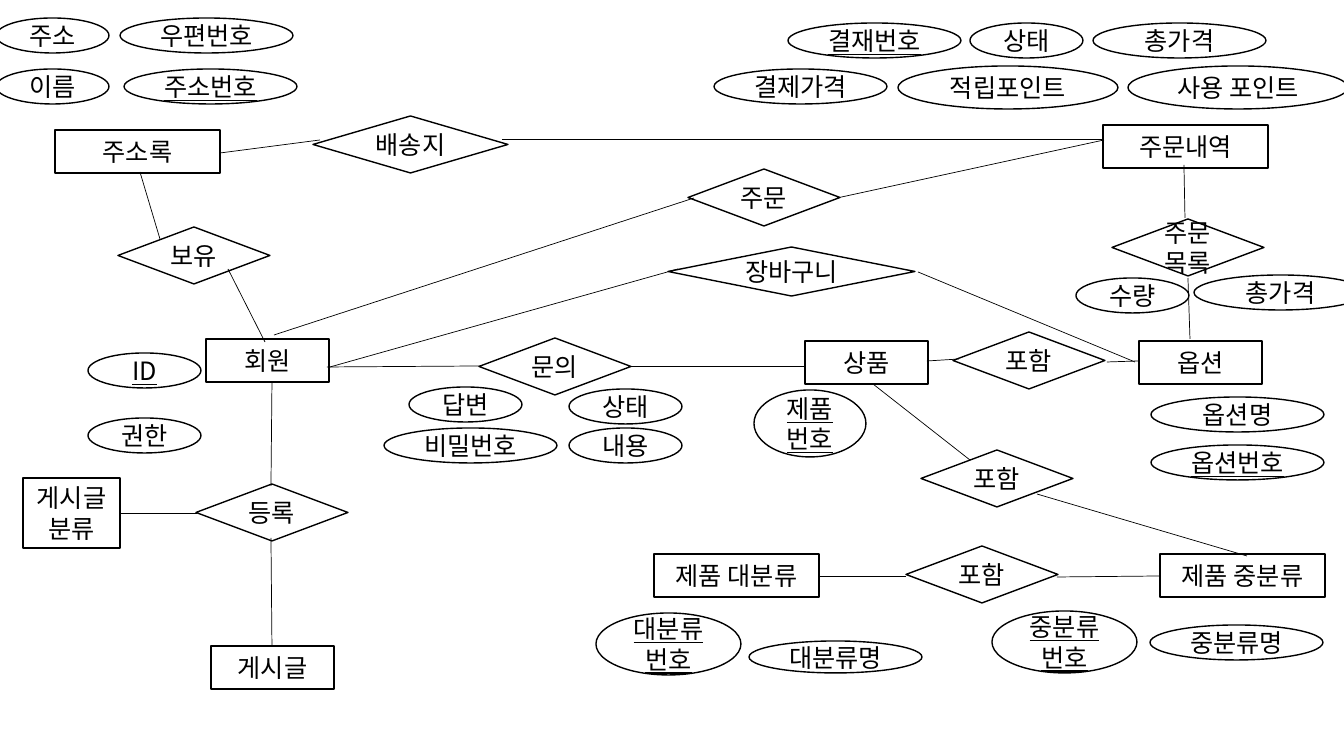
from typing import NamedTuple

from lxml.etree import SubElement
from pptx import Presentation
from pptx.dml.color import RGBColor
from pptx.enum.shapes import MSO_CONNECTOR, MSO_SHAPE
from pptx.enum.text import MSO_ANCHOR, PP_ALIGN
from pptx.oxml.ns import qn
from pptx.util import Emu, Pt

FONT = "Noto Sans CJK KR"
INK, PAPER = "000000", "FFFFFF"


class Kind(NamedTuple):
    form: MSO_SHAPE
    wide: int
    high: int


class Node(NamedTuple):
    kind: Kind
    left: int
    top: int
    text: str
    key: bool = False


class Link(NamedTuple):
    x1: int
    y1: int
    x2: int
    y2: int


def px(count: int) -> Emu:
    return Emu(round(count * 914400 / 100.8))


def color(code: str) -> RGBColor:
    return RGBColor.from_string(code)


# Kinds of node: entities, attributes, relations
ENTITY = Kind(MSO_SHAPE.RECTANGLE, 123, 43)
TABLE = ENTITY._replace(wide=165)
BOARD = ENTITY._replace(wide=97, high=70)
ATTR = Kind(MSO_SHAPE.OVAL, 113, 35)
FIELD = ATTR._replace(wide=173)
POINT = ATTR._replace(wide=220, high=43)
CLASS = ATTR._replace(wide=145, high=62)
ITEM = ATTR._replace(wide=112, high=67)
REL = Kind(MSO_SHAPE.DIAMOND, 152, 57)

NODES = [
    # Address book
    Node(ATTR, -4, 18, "주소"),
    Node(FIELD, 120, 18, "우편번호"),
    Node(ATTR, -4, 69, "이름"),
    Node(FIELD, 124, 69, "주소번호", True),
    Node(TABLE, 55, 130, "주소록"),
    Node(REL._replace(wide=195), 313, 116, "배송지"),
    Node(REL, 118, 227, "보유"),
    # Orders
    Node(FIELD, 788, 23, "결재번호", True),
    Node(ATTR, 970, 23, "상태"),
    Node(FIELD, 1093, 23, "총가격"),
    Node(FIELD, 714, 69, "결제가격"),
    Node(POINT, 898, 66, "적립포인트"),
    Node(POINT, 1128, 66, "사용 포인트"),
    Node(TABLE, 1103, 125, "주문내역"),
    Node(REL, 688, 169, "주문"),
    Node(REL, 1112, 219, "주문목록"),
    Node(ATTR, 1076, 278, "수량"),
    Node(FIELD, 1194, 275, "총가격"),
    # Members, questions and cart
    Node(ENTITY, 206, 339, "회원"),
    Node(ATTR, 88, 353, "ID", True),
    Node(ATTR, 88, 418, "권한"),
    Node(REL._replace(wide=247, high=49), 668, 247, "장바구니"),
    Node(REL, 479, 338, "문의"),
    Node(ATTR, 409, 387, "답변"),
    Node(ATTR, 569, 389, "상태"),
    Node(FIELD, 384, 428, "비밀번호"),
    Node(ATTR, 569, 428, "내용"),
    # Posts
    Node(BOARD, 23, 478, "게시글\v분류"),
    Node(REL, 196, 484, "등록"),
    Node(ENTITY, 211, 646, "게시글"),
    # Products and options
    Node(ENTITY, 805, 341, "상품"),
    Node(ITEM, 754, 390, "제품번호", True),
    Node(REL, 953, 332, "포함"),
    Node(ENTITY, 1139, 341, "옵션"),
    Node(FIELD, 1151, 397, "옵션명"),
    Node(FIELD, 1151, 445, "옵션번호", True),
    # Product classes
    Node(REL, 921, 450, "포함"),
    Node(TABLE, 654, 554, "제품 대분류"),
    Node(REL, 906, 546, "포함"),
    Node(TABLE, 1160, 554, "제품 중분류"),
    Node(CLASS, 596, 613, "대분류\v번호", True),
    Node(FIELD._replace(high=32), 749, 641, "대분류명"),
    Node(CLASS, 992, 611, "중분류\v번호", True),
    Node(FIELD, 1150, 625, "중분류명"),
]

LINKS = [
    # Address book and orders
    Link(220, 153, 320, 140),
    Link(502, 139, 1103, 139),
    Link(160, 239, 140, 172),
    Link(265, 342, 228, 269),
    Link(274, 335, 694, 198),
    Link(837, 198, 1104, 140),
    Link(1184, 165, 1185, 218),
    Link(1188, 278, 1190, 339),
    # Cart and questions
    Link(330, 367, 678, 269),
    Link(918, 272, 1135, 362),
    Link(327, 367, 480, 366),
    Link(631, 366, 804, 366),
    # Posts
    Link(271, 486, 272, 383),
    Link(121, 513, 197, 513),
    Link(272, 646, 271, 538),
    # Products, options and classes
    Link(927, 361, 959, 359),
    Link(1107, 362, 1138, 361),
    Link(970, 460, 873, 384),
    Link(1247, 556, 1037, 494),
    Link(820, 576, 906, 576),
    Link(1057, 577, 1159, 576),
]


def draw_node(slide, node: Node) -> None:
    kind = node.kind
    shape = slide.shapes.add_shape(
        kind.form, px(node.left), px(node.top), px(kind.wide), px(kind.high))
    shape.shadow.inherit = False
    shape.fill.solid()
    shape.fill.fore_color.rgb = color(PAPER)
    shape.line.color.rgb = color(INK)
    shape.line.width = Pt(1)
    frame = shape.text_frame
    frame.text = node.text
    frame.word_wrap = True
    frame.vertical_anchor = MSO_ANCHOR.MIDDLE
    para = frame.paragraphs[0]
    para.alignment = PP_ALIGN.CENTER
    for run in para.runs:
        font = run.font
        font.name, font.size = FONT, Pt(18)
        font.color.rgb = color(INK)
        if node.key:
            font.underline = True
        # Korean glyphs take the East Asian typeface
        SubElement(run._r.get_or_add_rPr(), qn("a:ea"), typeface=FONT)


def draw_link(slide, link: Link) -> None:
    line = slide.shapes.add_connector(
        MSO_CONNECTOR.STRAIGHT, *(px(value) for value in link))
    line.line.color.rgb = color(INK)
    line.line.width = Pt(0.5)
    SubElement(line._element.spPr, qn("a:effectLst"))


deck = Presentation()
deck.slide_width, deck.slide_height = px(1344), px(756)
slide = deck.slides.add_slide(deck.slide_layouts[6])
for node in NODES:
    draw_node(slide, node)
for link in LINKS:
    draw_link(slide, link)
deck.save("out.pptx")
